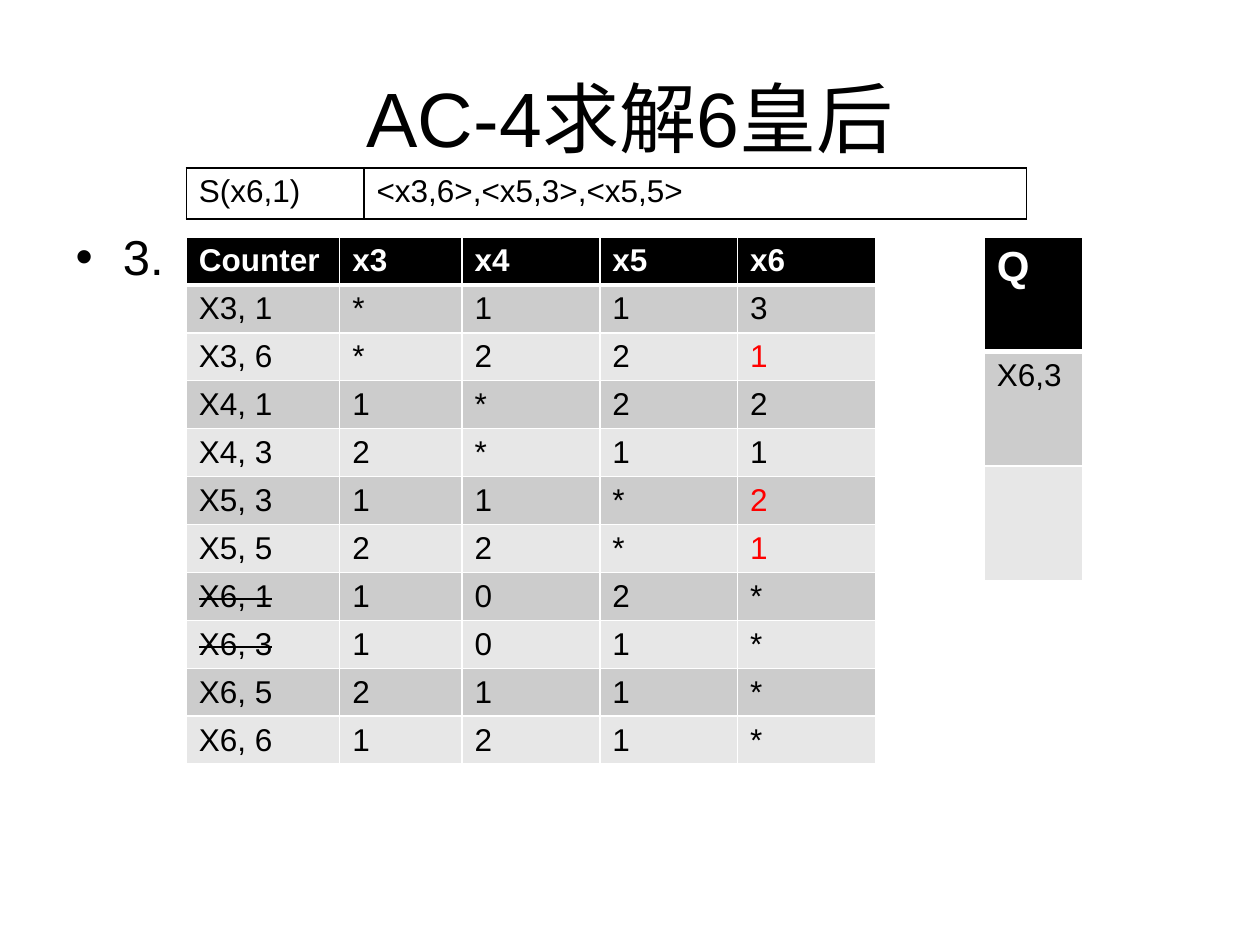
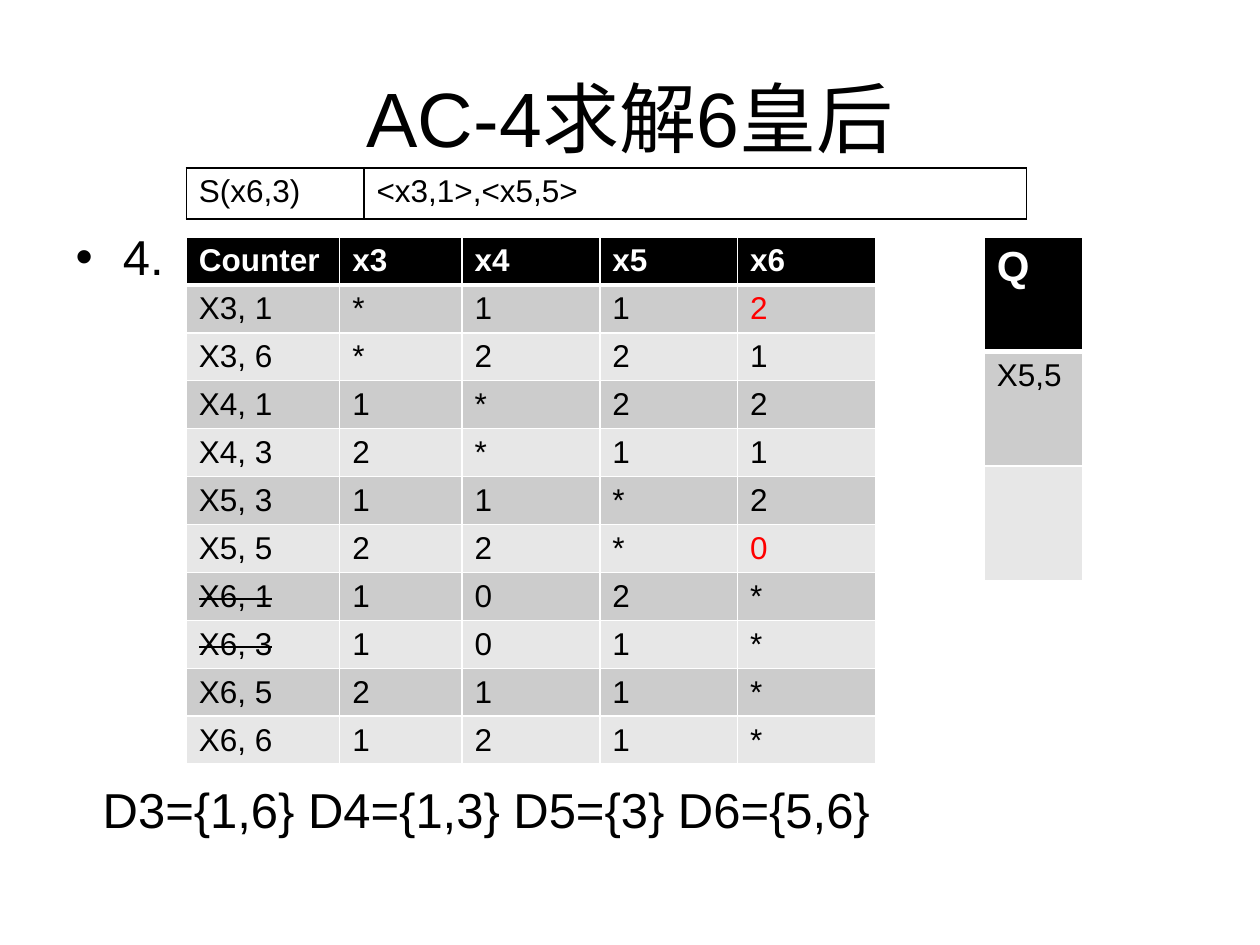
from dataclasses import dataclass

from lxml import etree
from pptx import Presentation
from pptx.dml.color import RGBColor as Color
from pptx.enum.text import MSO_ANCHOR as Anchor, MSO_AUTO_SIZE as AutoSize, PP_ALIGN as Align
from pptx.oxml.ns import qn
from pptx.util import Pt


@dataclass(frozen=True)
class Theme:
    font: str = "Arial"
    ink: str = "000000"
    paper: str = "FFFFFF"
    changed: str = "FF0000"
    bands: tuple = ("CCCCCC", "E7E7E7")
    title_size: int = 44
    body_size: int = 28
    queue_size: int = 24
    cell_size: int = 18
    rule: int = 1
    head_rule: int = 3


TITLE = "AC-4求解6皇后"
HEADINGS = ["Counter", "x3", "x4", "x5", "x6"]
COUNTERS = {
    "X3, 1": ["*", 1, 1, 3],
    "X3, 6": ["*", 2, 2, 2],
    "X4, 1": [1, "*", 2, 2],
    "X4, 3": [2, "*", 1, 1],
    "X5, 3": [1, 1, "*", 3],
    "X5, 5": [2, 2, "*", 2],
    "X6, 1": [1, 0, 2, "*"],
    "X6, 3": [1, 0, 1, "*"],
    "X6, 5": [2, 1, 1, "*"],
    "X6, 6": [1, 2, 1, "*"],
}
REMOVED = ("X6, 1", "X6, 3")
STEPS = [
    ("3.", "S(x6,1)", ["x3,6", "x5,3", "x5,5"], "X6,3", None),
    ("4.", "S(x6,3)", ["x3,1", "x5,5"], "X5,5", "D3={1,6} D4={1,3} D5={3} D6={5,6}"),
]
TABLE_LEFT, TABLE_TOP = 106.5, 135.4


class SlideWriter:
    def __init__(self, deck, theme):
        self.deck = deck
        self.theme = theme
        self.page = None

    def start(self):
        self.page = self.deck.slides.add_slide(self.deck.slide_layouts[1])

    def span(self, para, text, size, color=None, bold=False, strike=False):
        span = para.add_run()
        span.text = str(text)
        font = span.font
        font.name, font.size, font.bold = self.theme.font, Pt(size), bold
        font.color.rgb = Color.from_string(color or self.theme.ink)
        if strike:
            span._r.get_or_add_rPr().set("strike", "sngStrike")

    def place(self, box, left, top, width, height):
        box.left, box.top, box.width, box.height = map(Pt, (left, top, width, height))

    def title(self, text):
        box = self.page.shapes.title
        self.place(box, 36, 21.6, 648, 90)
        box.text_frame.vertical_anchor = Anchor.MIDDLE
        para = box.text_frame.paragraphs[0]
        para.alignment = Align.CENTER
        self.span(para, text, self.theme.title_size)

    def body(self, number, domains):
        box = self.page.placeholders[1]
        self.place(box, 36, 126, 648, 356.4)
        frame = box.text_frame
        frame.auto_size = AutoSize.NONE
        self.span(frame.paragraphs[0], number, self.theme.body_size)
        if domains:
            para = frame.add_paragraph()
            para.space_before = Pt(282)
            props = para._p.get_or_add_pPr()
            props.set("marL", str(Pt(15.5)))
            props.set("indent", "0")
            etree.SubElement(props, qn("a:buNone"))
            self.span(para, domains, self.theme.body_size)

    def borders(self, cell, color, top, bottom):
        props = cell._tc.get_or_add_tcPr()
        rule = self.theme.rule
        for index, (side, width) in enumerate(zip("LRTB", (rule, rule, top, bottom))):
            line = etree.Element(qn(f"a:ln{side}"), w=str(Pt(width)))
            fill = etree.SubElement(line, qn("a:solidFill"))
            etree.SubElement(fill, qn("a:srgbClr"), val=color)
            props.insert(index, line)

    def grid(self, left, top, widths, row_height, rows):
        frame = self.page.shapes.add_table(
            len(rows), len(widths), Pt(left), Pt(top), Pt(sum(widths)), Pt(row_height * len(rows)))
        table = frame.table
        table.first_row = table.horz_banding = False
        for column, width in zip(table.columns, widths):
            column.width = Pt(width)
        for row in table.rows:
            row.height = Pt(row_height)
        for r, row in enumerate(rows):
            for c, text in enumerate(row):
                yield r, c, text, table.cell(r, c)

    def banded_table(self, left, widths, row_height, rows, head_size, changed=(), struck=()):
        theme = self.theme
        for r, c, text, cell in self.grid(left, TABLE_TOP, widths, row_height, rows):
            head = r == 0
            cell.fill.solid()
            cell.fill.fore_color.rgb = Color.from_string(
                theme.ink if head else theme.bands[(r - 1) % 2])
            self.borders(cell, theme.paper,
                         theme.head_rule if r == 1 else theme.rule,
                         theme.head_rule if head else theme.rule)
            if text == "":
                continue
            color = theme.paper if head else theme.changed if (r, c) in changed else theme.ink
            self.span(cell.text_frame.paragraphs[0], text,
                      head_size if head else theme.cell_size,
                      color, bold=head, strike=text in struck)

    def support_table(self, row):
        theme = self.theme
        for r, c, text, cell in self.grid(TABLE_LEFT, 96, [101.5, 378.7], 29.2, [row]):
            cell.fill.background()
            self.borders(cell, theme.ink, theme.rule, theme.rule)
            self.span(cell.text_frame.paragraphs[0], text, theme.cell_size)


def main():
    deck = Presentation()
    deck.slide_width, deck.slide_height = Pt(720), Pt(540)
    theme = Theme()
    writer = SlideWriter(deck, theme)
    counters = {name: list(values) for name, values in COUNTERS.items()}
    names = list(counters)
    for number, support, supported, queued, domains in STEPS:
        changed = set()
        for pair in supported:
            name = pair.upper().replace(",", ", ")
            counters[name][-1] -= 1
            changed.add((names.index(name) + 1, len(HEADINGS) - 1))
        rows = [HEADINGS] + [[name, *values] for name, values in counters.items()]
        writer.start()
        writer.title(TITLE)
        writer.body(number, domains)
        writer.banded_table(TABLE_LEFT, [87.6, 70, 78.7, 78.7, 78.7], 22.3, rows,
                            theme.cell_size, changed, REMOVED)
        writer.banded_table(562.5, [56.2], 65.5, [["Q"], [queued], [""]], theme.queue_size)
        writer.support_table([support, ",".join(f"<{pair}>" for pair in supported)])
    deck.save("out.pptx")


if __name__ == "__main__":
    main()
